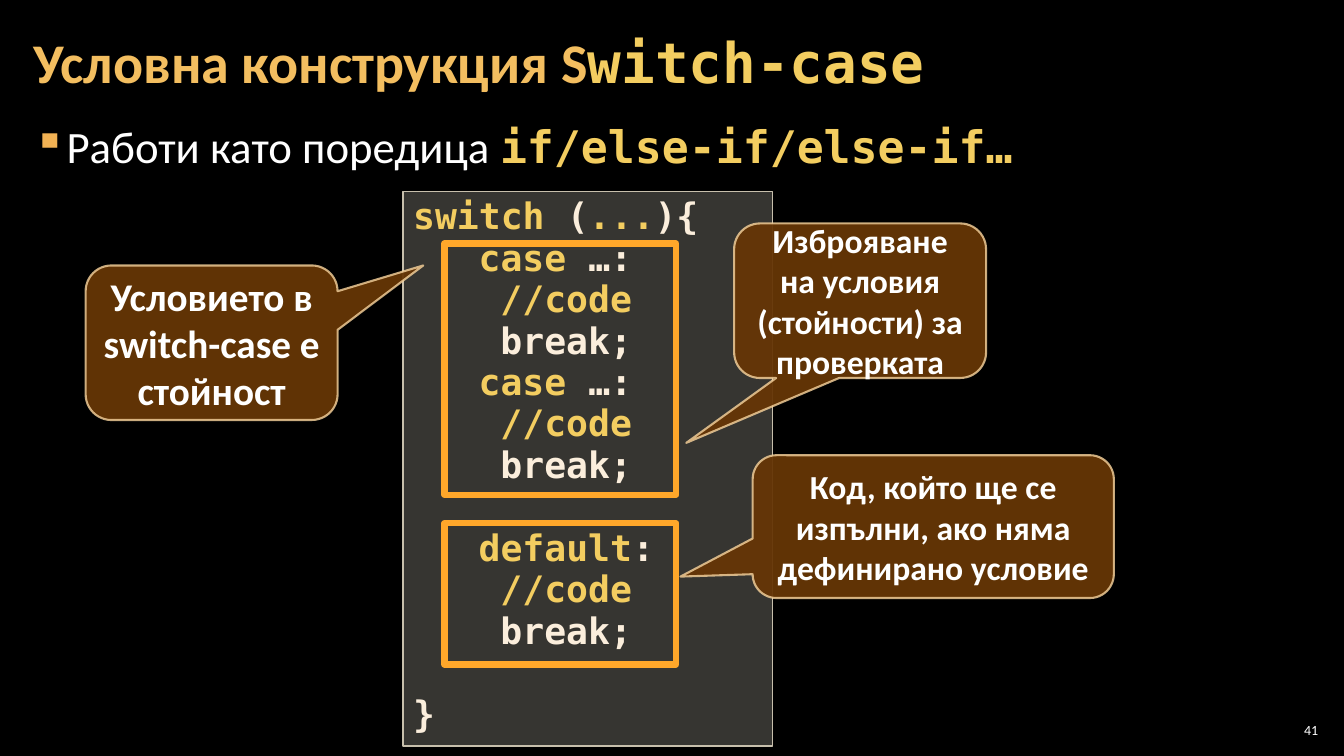
import pptx
import pptx.util
import pptx.oxml
import pptx.oxml.ns
import pptx.dml.color
import pptx.enum.shapes
import pptx.enum.text

Pt = pptx.util.Pt
SHAPES = pptx.enum.shapes.MSO_SHAPE
ALIGN = pptx.enum.text.PP_ALIGN
ANCHOR = pptx.enum.text.MSO_ANCHOR

# Content: a run is (text, colour, font); a place is left, top, width, height in grid units
COLORS = {
    "background": "000000", "white": "FFFFFF", "title": "F3BE60", "keyword": "F3CD60",
    "plain": "FBEEDC", "bullet": "F2B254", "code fill": "D9D5C7", "code line": "C7BFAC",
    "callout fill": "663606", "callout line": "F8D49E", "frame": "FFA72A",
}
SANS, MONO = "Calibri", "DejaVu Sans Mono"

TITLE = [("Условна конструкция S", "title", SANS), ("witch-case", "keyword", MONO)]
BULLET = [("Работи като поредица ", "white", SANS), ("if/else-if/else-if…", "keyword", MONO)]
PAGE_NUMBER = [("41", "white", SANS)]
TITLE_PLACE = (2.5, 0.5, 125.6, 14.5)
BULLET_PLACE = (2.5, 13.7, 154.9, 73.1)
NUMBER_PLACE = (151.8, 85.7, 5.6, 2.5)

# Code lines: indent in characters, empty lines above, (text, colour) pairs
CASE = [
    (3, 0, [("case", "keyword"), (" …:", "plain")]),
    (4, 0, [("//code", "keyword")]),
    (4, 0, [("break;", "plain")]),
]
DEFAULT = [(3, 1, [("default", "keyword"), (":", "plain")])] + CASE[1:]
CODE = (
    [(0, 0, [("switch ", "keyword"), ("(", "plain"), ("...", "keyword"), ("){", "plain")])]
    + CASE + CASE + DEFAULT
    + [(0, 1, [("}", "plain")])]
)
CODE_PLACE = (48, 22.8, 44, 66)
CODE_SIZE, CODE_CHAR, CODE_LINE = 26, 15.6, 29.6  # points

# Callouts: text, size, place, pointer tip relative to the centre
CALLOUTS = [
    ("Условието в switch-case е стойност", 28, (10.2, 31.6, 30, 18.4), (0.84, -0.5)),
    ("Изброяване на условия (стойности) за проверката", 24, (87.4, 26.6, 30, 18.4), (-0.69, 0.92)),
    ("Код, който ще се изпълни, ако няма дефинирано условие", 24, (89.6, 54.2, 43, 17), (-0.7, 0.35)),
]
FRAME_LEFT, FRAME_WIDTH = 52.9, 27.6
FRAME_ROWS = [(29, 29.9), (62.3, 16.8)]  # top and height

# Slide on a grid of 160 columns and 90 rows
deck = pptx.Presentation()
deck.slide_width, deck.slide_height = pptx.util.Inches(13.33), pptx.util.Inches(7.5)
COLUMN, ROW = deck.slide_width / 160, deck.slide_height / 90
slide = deck.slides.add_slide(deck.slide_layouts[6])


def rgb(name):
    return pptx.dml.color.RGBColor.from_string(COLORS[name])


def grid(place):
    return [round(value * unit) for value, unit in zip(place, (COLUMN, ROW) * 2)]


def xml(tag, attributes):
    return pptx.oxml.parse_xml(f'<a:{tag} {pptx.oxml.ns.nsdecls("a")} {attributes}/>')


def set_alpha(shape, color_path, percent):
    color = shape.element.xpath(f"./p:spPr/{color_path}/a:srgbClr")[0]
    color.append(xml("alpha", f'val="{percent * 1000}"'))


def write(shape, lines, size, bold=True, align=ALIGN.LEFT, anchor=ANCHOR.MIDDLE,
          margins=(0.1, 0.05), spacing=None):
    frame = shape.text_frame
    frame.word_wrap = True
    frame.vertical_anchor = anchor
    frame.margin_left = frame.margin_right = pptx.util.Inches(margins[0])
    frame.margin_top = frame.margin_bottom = pptx.util.Inches(margins[1])
    for number, runs in enumerate(lines):
        paragraph = frame.add_paragraph() if number else frame.paragraphs[0]
        paragraph.alignment = align
        paragraph.line_spacing = spacing
        for text, color, font in runs:
            run = paragraph.add_run()
            run.text = text
            run.font.name, run.font.size = font, Pt(size)
            run.font.bold = bold or font == MONO
            run.font.color.rgb = rgb(color)
    return frame.paragraphs


def add_text(place, runs, size, **options):
    return write(slide.shapes.add_textbox(*grid(place)), [runs], size, **options)[0]


def add_box(kind, place, line, line_width, fill=None, fill_alpha=100):
    box = slide.shapes.add_shape(kind, *grid(place))
    box.shadow.inherit = False
    if fill:
        box.fill.solid()
        box.fill.fore_color.rgb = rgb(fill)
        set_alpha(box, "a:solidFill", fill_alpha)
    else:
        box.fill.background()
    box.line.color.rgb = rgb(line)
    box.line.width = Pt(line_width)
    return box


def add_callout(text, size, place, tip):
    callout = add_box(SHAPES.ROUNDED_RECTANGULAR_CALLOUT, place, "callout line", 1.5,
                      "callout fill", 95)
    set_alpha(callout, "a:ln/a:solidFill", 80)
    for index, value in enumerate((*tip, 0.167)):
        callout.adjustments[index] = value
    write(callout, [[(text, "white", SANS)]], size, align=ALIGN.CENTER)


def add_frame(top, height):
    add_box(SHAPES.RECTANGLE, (FRAME_LEFT, top, FRAME_WIDTH, height), "frame", 4.5)


# Background, page number, bullet and title
slide.background.fill.solid()
slide.background.fill.fore_color.rgb = rgb("background")
add_text(NUMBER_PLACE, PAGE_NUMBER, 10, bold=False, align=ALIGN.RIGHT, margins=(0.04, 0.04))
bullet = add_text(BULLET_PLACE, BULLET, 32, bold=False, anchor=ANCHOR.TOP, margins=(0.12, 0.04))
bullet.space_before = bullet.space_after = Pt(6)
bullet_format = bullet._p.get_or_add_pPr()
bullet_format.set("marL", str(pptx.util.Inches(0.33)))
bullet_format.set("indent", str(-pptx.util.Inches(0.33)))
bullet_color = xml("buClr", "")
bullet_color.append(xml("srgbClr", f'val="{COLORS["bullet"]}"'))
bullet_format.append(bullet_color)
bullet_format.append(xml("buChar", 'char="▪"'))
add_text(TITLE_PLACE, TITLE, 40, margins=(0.12, 0.04), spacing=0.9)

# Code panel
panel = add_box(SHAPES.RECTANGLE, CODE_PLACE, "code line", 1, "code fill", 25)
code_runs = [[(text, color, MONO) for text, color in pairs] for _, _, pairs in CODE]
code_lines = write(panel, code_runs, CODE_SIZE, anchor=ANCHOR.TOP, spacing=0.95)
for code_line, (indent, empty_above, _) in zip(code_lines, CODE):
    code_line._p.get_or_add_pPr().set("marL", str(Pt(indent * CODE_CHAR)))
    code_line.space_before = Pt(empty_above * CODE_LINE)

# Callouts and frames, from back to front
condition, values, fallback = CALLOUTS
case_rows, default_rows = FRAME_ROWS
add_callout(*condition)
add_callout(*values)
add_frame(*case_rows)
add_callout(*fallback)
add_frame(*default_rows)

deck.save("out.pptx")
